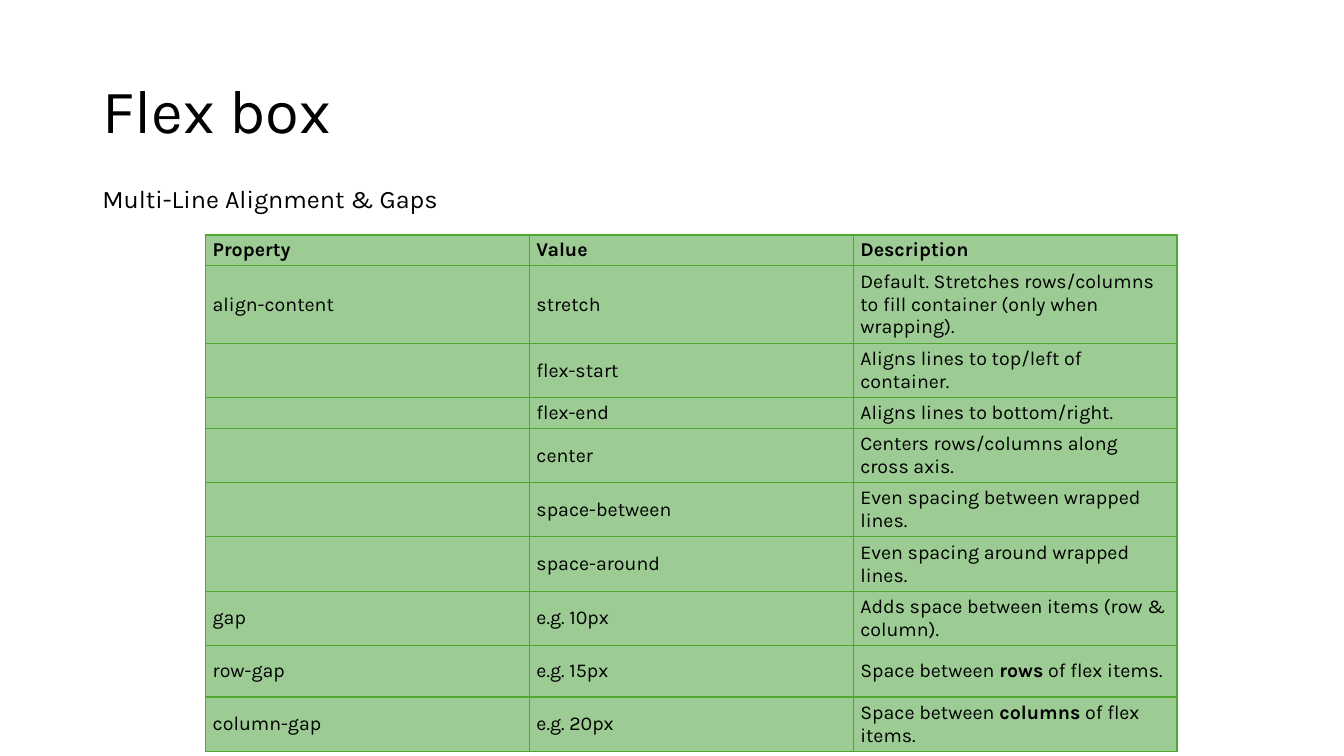
from lxml import etree
from pptx import Presentation
from pptx import util as u
from pptx.dml import color
from pptx.enum import text
from pptx.oxml import ns

FONT = "Karla"
COLORS = {"text": "000000", "cell": "9CCB93", "border": "4EA72E"}
CELL_SIZE = 14
COLUMN_WIDTH = 8.16
ROW_HEIGHTS = [0.74, 1.83, 1.3, 0.74] + [1.3] * 6

# Text between asterisks is bold.
ROWS = [
    ("*Property*", "*Value*", "*Description*"),
    ("align-content", "stretch",
     "Default. Stretches rows/columns to fill container (only when wrapping)."),
    ("", "flex-start", "Aligns lines to top/left of container."),
    ("", "flex-end", "Aligns lines to bottom/right."),
    ("", "center", "Centers rows/columns along cross axis."),
    ("", "space-between", "Even spacing between wrapped lines."),
    ("", "space-around", "Even spacing around wrapped lines."),
    ("gap", "e.g. 10px", "Adds space between items (row & column)."),
    ("row-gap", "e.g. 15px", "Space between *rows* of flex items."),
    ("column-gap", "e.g. 20px", "Space between *columns* of flex items."),
]


def rgb(name):
    return color.RGBColor.from_string(COLORS[name])


def add_runs(paragraph, marked_text, size):
    """Add one run per piece of text, switching bold at each asterisk."""
    for index, piece in enumerate(marked_text.split("*")):
        if piece:
            run = paragraph.add_run()
            run.text = piece
            run.font.name = FONT
            run.font.size = u.Pt(size)
            run.font.bold = index % 2 == 1
            run.font.color.rgb = rgb("text")


def add_text(slide, left, top, width, height, content, size,
             anchor=text.MSO_ANCHOR.TOP, line_spacing=1.0):
    box = slide.shapes.add_textbox(u.Cm(left), u.Cm(top), u.Cm(width), u.Cm(height))
    frame = box.text_frame
    frame.word_wrap = True
    frame.vertical_anchor = anchor
    paragraph = frame.paragraphs[0]
    paragraph.line_spacing = line_spacing
    add_runs(paragraph, content, size)


def add_borders(cell):
    properties = cell._tc.get_or_add_tcPr()
    for side in ("lnL", "lnR", "lnT", "lnB"):
        line = etree.SubElement(properties, ns.qn(f"a:{side}"), w=str(u.Pt(1)))
        fill = etree.SubElement(line, ns.qn("a:solidFill"))
        etree.SubElement(fill, ns.qn("a:srgbClr"), val=COLORS["border"])


def fill_cell(cell, content):
    cell.margin_left = cell.margin_right = u.Cm(0.18)
    cell.margin_top = cell.margin_bottom = u.Cm(0.09)
    cell.vertical_anchor = text.MSO_ANCHOR.MIDDLE
    add_borders(cell)
    cell.fill.solid()
    cell.fill.fore_color.rgb = rgb("cell")
    paragraph = cell.text_frame.paragraphs[0]
    add_runs(paragraph, content, CELL_SIZE)
    if not content:
        # An empty cell keeps the text size, so its row stays low.
        etree.SubElement(paragraph._p, ns.qn("a:endParaRPr"), sz=str(CELL_SIZE * 100))


def add_property_table(slide, left, top):
    columns = len(ROWS[0])
    frame = slide.shapes.add_table(
        len(ROWS), columns, u.Cm(left), u.Cm(top),
        u.Cm(COLUMN_WIDTH * columns), u.Cm(sum(ROW_HEIGHTS)))
    table = frame.table
    table.first_row = table.horz_banding = False
    for column in table.columns:
        column.width = u.Cm(COLUMN_WIDTH)
    for row, height, contents in zip(table.rows, ROW_HEIGHTS, ROWS):
        row.height = u.Cm(height)
        for cell, content in zip(row.cells, contents):
            fill_cell(cell, content)


def main():
    presentation = Presentation()
    presentation.slide_width = u.Cm(33.87)
    presentation.slide_height = u.Cm(19.05)
    slide = presentation.slides.add_slide(presentation.slide_layouts[6])
    add_text(slide, 2.33, 1.01, 29.21, 3.68, "Flex box", 44,
             text.MSO_ANCHOR.MIDDLE, 0.9)
    add_property_table(slide, 5.18, 5.92)
    add_text(slide, 2.33, 4.5, 16.92, 1.02, "Multi-Line Alignment & Gaps", 18)
    presentation.save("out.pptx")


if __name__ == "__main__":
    main()
